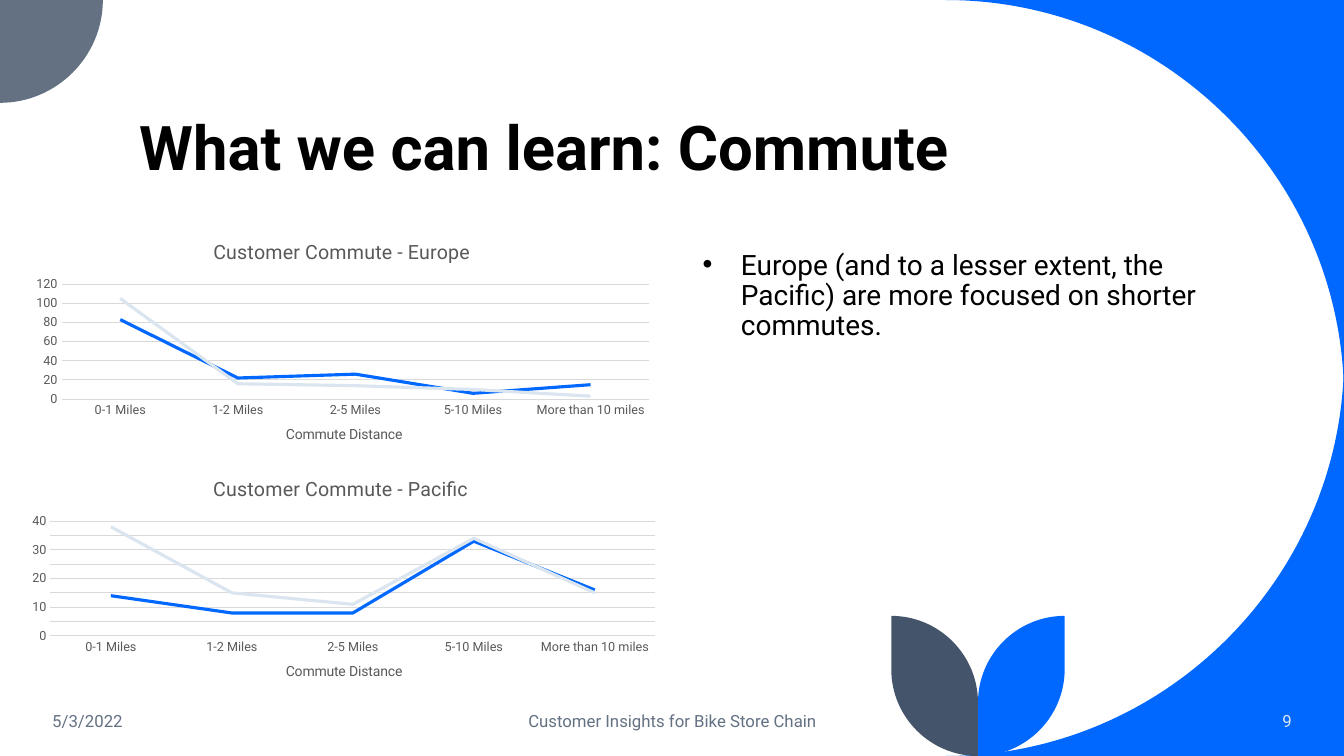
from lxml import etree
from pptx import Presentation
from pptx.chart.data import CategoryChartData
from pptx.dml.color import RGBColor
from pptx.enum import chart as charts, text
from pptx.oxml.ns import qn
from pptx.util import Inches, Pt

BLUE = RGBColor(0x00, 0x68, 0xFF)
PALE = RGBColor(0xDA, 0xE5, 0xEF)
SLATE = RGBColor(0x63, 0x71, 0x83)
NAVY = RGBColor(0x44, 0x54, 0x6A)
BLACK = RGBColor(0x00, 0x00, 0x00)
GRAY = RGBColor(0x59, 0x59, 0x59)
GRID = RGBColor(0xD9, 0xD9, 0xD9)
FONT = "Roboto"
WIDTH, HEIGHT = 13.33, 7.5
CHART_HEIGHT = 2.35
ROUNDNESS = 0.55  # share of the way to the corner for a quarter circle's handles
DISTANCES = ["0-1 Miles", "1-2 Miles", "2-5 Miles", "5-10 Miles", "More than 10 miles"]
COMMUTES = [
    # region, left, top, width, plot left, plot width, grid step, series 1, series 2
    ("Europe", 0.24, 2.23, 6.34, 0.61, 5.83, 20, (83, 22, 26, 6, 15), (105, 16, 14, 10, 3)),
    ("Pacific", 0.2, 4.58, 6.43, 0.5, 6, 5, (14, 8, 8, 33, 16), (38, 15, 11, 34, 15)),
]


def style_font(font, size, color, bold=False):
    font.name, font.size, font.bold = FONT, Pt(size), bold
    font.color.rgb = color


def write(shape, words, size=12, color=SLATE, bold=False, align=text.PP_ALIGN.LEFT,
          anchor=text.MSO_ANCHOR.MIDDLE, line_spacing=None, bullet_indent=None):
    frame = shape.text_frame
    frame.word_wrap = True
    frame.auto_size = text.MSO_AUTO_SIZE.NONE
    frame.vertical_anchor = anchor
    paragraph = frame.paragraphs[0]
    paragraph.text = words
    paragraph.alignment = align
    paragraph.line_spacing = line_spacing
    if bullet_indent:
        properties = paragraph._p.get_or_add_pPr()
        properties.set("marL", str(Inches(bullet_indent)))
        properties.set("indent", str(-Inches(bullet_indent)))
        etree.SubElement(properties, qn("a:buFont"), typeface="Arial")
        etree.SubElement(properties, qn("a:buChar"), char="•")
    style_font(paragraph.runs[0].font, size, color, bold)


def add_text(slide, words, left, top, width, height, **style):
    box = slide.shapes.add_textbox(Inches(left), Inches(top), Inches(width), Inches(height))
    write(box, words, **style)


def round_off(segment, start, corner, end):
    """Turn a straight path segment into a quarter circle that bulges to the corner."""
    segment.tag = qn("a:cubicBezTo")
    handles = [[a + ROUNDNESS * (c - a) for a, c in zip(point, corner)] for point in (start, end)]
    for index, (x, y) in enumerate(handles):
        segment.insert(index, etree.Element(qn("a:pt"), x=str(round(x)), y=str(round(y))))


def add_outline(slide, color, *steps):
    """Draw through steps (x, y), or (x, y, corner x, corner y) for a quarter circle."""
    steps = [[Inches(length) for length in step] for step in steps]
    builder = slide.shapes.build_freeform(*steps[0])
    builder.add_line_segments([step[:2] for step in steps[1:]])
    outline = builder.convert_to_shape()
    outline.shadow.inherit = False
    outline.fill.solid()
    outline.fill.fore_color.rgb = color
    outline.line.fill.background()
    origin = (outline.left, outline.top) * 2
    local = [[length - zero for length, zero in zip(step, origin)] for step in steps]
    segments = list(outline._element.iter(qn("a:lnTo")))
    for segment, before, step in zip(segments, local, local[1:]):
        if len(step) == 4:
            round_off(segment, before[:2], step[2:], step[:2])


def add_decoration(slide):
    radius, leaf_radius, stem, corner = 3.95, 0.86, 9.7, 1.02
    center = WIDTH - radius
    add_outline(slide, BLUE, (center, 0), (WIDTH, radius, WIDTH, 0), (WIDTH, 0))
    add_outline(slide, BLUE, (WIDTH, HEIGHT - radius), (center, HEIGHT, WIDTH, HEIGHT),
                (WIDTH, HEIGHT))
    add_outline(slide, SLATE, (0, 0), (corner, 0), (0, corner, corner, corner))
    for color, side in ((BLUE, 1), (NAVY, -1)):
        tip, leaf_top = stem + side * leaf_radius, 6.11
        add_outline(slide, color, (tip, leaf_top), (tip, HEIGHT - leaf_radius),
                    (stem, HEIGHT, tip, HEIGHT), (stem, leaf_top + leaf_radius),
                    (tip, leaf_top, stem, leaf_top))


def set_layout(element, index, **fractions):
    """Place a chart part by fractions of the chart's size."""
    for old in element.findall(qn("c:layout")):
        element.remove(old)
    layout = etree.Element(qn("c:layout"))
    manual = etree.SubElement(layout, qn("c:manualLayout"))
    if "w" in fractions:
        etree.SubElement(manual, qn("c:layoutTarget"), val="inner")
    for mode in ("xMode", "yMode"):
        etree.SubElement(manual, qn(f"c:{mode}"), val="edge")
    for key, value in fractions.items():
        etree.SubElement(manual, qn(f"c:{key}"), val=str(round(value, 4)))
    element.insert(index, layout)


def write_chart_title(title, words, size, x, y):
    title.text_frame.text = words
    style_font(title.text_frame.paragraphs[0].runs[0].font, size, GRAY)
    set_layout(title._element, 1, x=x, y=y)


def style_line(line, color, width):
    line.color.rgb = color
    line.width = Pt(width)


def add_commute_chart(slide, region, left, top, width, plot_left, plot_width, step, *counts):
    data = CategoryChartData()
    data.categories = DISTANCES
    for number, values in enumerate(counts, 1):
        data.add_series(f"Series {number}", values)
    chart = slide.shapes.add_chart(charts.XL_CHART_TYPE.LINE, Inches(left), Inches(top),
                                   Inches(width), Inches(CHART_HEIGHT), data).chart
    style_font(chart.font, 10, BLACK)
    chart.has_legend = False
    chart.has_title = True
    write_chart_title(chart.chart_title, f"Customer Commute - {region}", 14,
                      (2.08 - left) / width, 0.1 / CHART_HEIGHT)
    chart.plots[0].vary_by_categories = False
    for series, color in zip(chart.plots[0].series, (BLUE, PALE)):
        series.smooth = False
        series.marker.style = charts.XL_MARKER_STYLE.NONE
        style_line(series.format.line, color, 2.25)

    distance, customers = chart.category_axis, chart.value_axis
    for axis in (distance, customers):
        axis.major_tick_mark = axis.minor_tick_mark = charts.XL_TICK_MARK.NONE
        style_font(axis.tick_labels.font, 9, GRAY)
    style_line(distance.format.line, GRID, 0.75)
    customers.format.line.fill.background()
    customers.major_unit = step
    customers.has_major_gridlines = True
    style_line(customers.major_gridlines.format.line, GRID, 0.75)
    distance.has_title = True
    write_chart_title(distance.axis_title, "Commute Distance", 10,
                      (2.81 - left) / width, 1.96 / CHART_HEIGHT)
    set_layout(chart._chartSpace.chart.plotArea, 0, x=(plot_left - left) / width,
               y=0.59 / CHART_HEIGHT, w=plot_width / width, h=1.14 / CHART_HEIGHT)


def main():
    deck = Presentation()
    deck.slide_width, deck.slide_height = Inches(WIDTH), Inches(HEIGHT)
    slide = deck.slides.add_slide(deck.slide_layouts.get_by_name("Title Only"))
    add_decoration(slide)

    title = slide.shapes.title
    title.left, title.top = Inches(1.28), Inches(0.42)
    title.width, title.height = Inches(10.69), Inches(1.45)
    write(title, "What we can learn: Commute", size=44, color=BLACK, bold=True,
          anchor=text.MSO_ANCHOR.BOTTOM, line_spacing=0.9)

    add_text(slide, "5/3/2022", 0.42, 6.95, 3, 0.4)
    add_text(slide, "Customer Insights for Bike Store Chain", 4.42, 6.95, 4.5, 0.4,
             align=text.PP_ALIGN.CENTER)
    add_text(slide, "9", 11.1, 6.95, 1.81, 0.4, color=PALE, align=text.PP_ALIGN.RIGHT)
    add_text(slide, "Europe (and to a lesser extent, the Pacific) are more focused on "
             "shorter commutes.", 6.87, 2.44, 5.1, 3.42, size=20, color=BLACK,
             anchor=text.MSO_ANCHOR.TOP, line_spacing=0.9, bullet_indent=0.38)
    for commute in COMMUTES:
        add_commute_chart(slide, *commute)
    deck.save("out.pptx")


if __name__ == "__main__":
    main()
